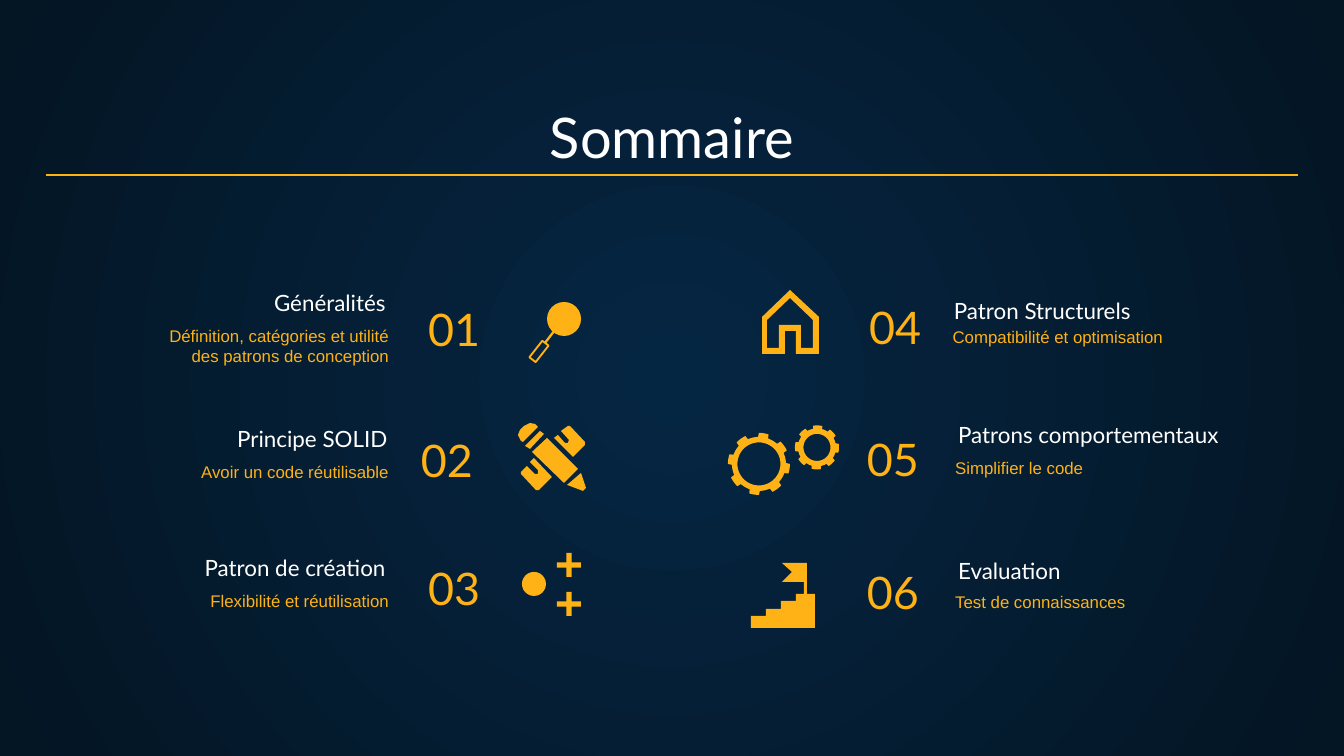
from math import cos, radians, sin

from lxml import etree
from pptx import Presentation
from pptx.dml.color import RGBColor
from pptx.enum.shapes import MSO_CONNECTOR, MSO_SHAPE
from pptx.enum.text import MSO_ANCHOR, MSO_AUTO_SIZE, PP_ALIGN
from pptx.oxml import parse_xml
from pptx.oxml.ns import nsdecls, qn
from pptx.util import Pt

PX = 914400 / 134.4
FINE = 100  # freeform steps per px
LEFT, MID, RIGHT = PP_ALIGN.LEFT, PP_ALIGN.CENTER, PP_ALIGN.RIGHT
TOP, BOTTOM = MSO_ANCHOR.TOP, MSO_ANCHOR.BOTTOM
FIXED = MSO_AUTO_SIZE.NONE
LINE = MSO_CONNECTOR.STRAIGHT
OVAL, BOX, PLUS = MSO_SHAPE.OVAL, MSO_SHAPE.RECTANGLE, MSO_SHAPE.CROSS

THEME = {
    "gold": RGBColor.from_string("FFB215"),
    "white": RGBColor.from_string("FFFFFF"),
    "glow": RGBColor.from_string("052643"),
    "night": RGBColor.from_string("041523"),
    "head": {"name": "Lato", "size": Pt(30)},
    "num": {"name": "Lato", "size": Pt(24)},
    "name": {"name": "Lato", "size": Pt(12)},
    "note": {"name": "Arial", "size": Pt(9)},
}


def write(shape, text, box, style, color, align, anchor):
    for key, val in zip(("left", "top", "width", "height"), box):
        setattr(shape, key, round(val * PX))
    frame = shape.text_frame
    frame.text = text
    form = {"word_wrap": True, "auto_size": FIXED, "vertical_anchor": anchor}
    for side in ("left", "top", "right", "bottom"):
        form["margin_" + side] = round(13.44 * PX)
    for key, val in form.items():
        setattr(frame, key, val)
    for para in frame.paragraphs:
        para.alignment = align
        for key, val in THEME[style].items():
            setattr(para.font, key, val)
        para.font.color.rgb = THEME[color]


def draw(*rings):
    pen = None
    for ring in rings:
        pts = [(round(x * FINE), round(y * FINE)) for x, y in ring]
        if pen is None:
            pen = shapes.build_freeform(*pts[0], scale=PX / FINE)
        else:
            pen.move_to(*pts[0])
        pen.add_line_segments(pts[1:], close=True)
    shape = pen.convert_to_shape()
    shape.shadow.inherit = False
    shape.fill.solid()
    shape.fill.fore_color.rgb = THEME["gold"]
    shape.line.fill.background()


deck = Presentation()
deck.slide_width, deck.slide_height = round(1344 * PX), round(756 * PX)
slide = deck.slides.add_slide(deck.slide_layouts[5])
shapes = slide.shapes

# Radial background
fill = slide.background.fill
fill.gradient()
for stop, color in zip(fill.gradient_stops, ("glow", "night")):
    stop.color.rgb = THEME[color]
for pos, stop in enumerate(fill.gradient_stops):
    stop.position = pos
grad = slide.element.find(".//" + qn("a:gradFill"))
for old in grad.findall(qn("a:lin")):
    grad.remove(old)
grad.append(parse_xml(
    f'<a:path {nsdecls("a")} path="circle">'
    '<a:fillToRect l="50000" t="50000" r="50000" b="50000"/></a:path>'))

# Title
write(shapes.title, "Sommaire", (46, 94, 1252, 89), "head", "white", MID, BOTTOM)

# Agenda: number, name and note, each with its corner and alignment
items = [
    ("01", 415, 280, LEFT, "Généralités", 94, 301, RIGHT,
     "Définition, catégories et utilité\ndes patrons de conception", 106, 312),
    ("02", 313, 411, RIGHT, "Principe SOLID", 224, 437, LEFT,
     "Avoir un code réutilisable", 188, 448),
    ("03", 415, 539, LEFT, "Patron de création", 94, 566, RIGHT,
     "Flexibilité et réutilisation", 106, 577),
    ("04", 856, 278, LEFT, "Patron Structurels", 839, 309, RIGHT,
     "Compatibilité et optimisation", 880, 313),
    ("05", 759, 410, RIGHT, "Patrons comportementaux", 945, 433, LEFT,
     "Simplifier le code", 942, 444),
    ("06", 759, 543, RIGHT, "Evaluation", 945, 569, LEFT,
     "Test de connaissances", 942, 578),
]
for num, nx, ny, side, name, tx, ty, flow, note, sx, sy in items:
    wide = 296 if flow == RIGHT else 278
    for text, box, style, color, align, anchor in (
        (num, (nx, ny, 173, 89), "num", "gold", side, BOTTOM),
        (name, (tx, ty, 305, 28), "name", "white", flow, BOTTOM),
        (note, (sx, sy, wide, 74), "note", "gold", flow, TOP),
    ):
        write(shapes.add_textbox(0, 0, 0, 0), text, box, style, color, align, anchor)

# Title rule and magnifier neck
for x1, y1, x2, y2, width in ((46, 175, 1298, 175, 1.5), (545, 343, 555, 330, 1.25)):
    line = shapes.add_connector(LINE, *(round(v * PX) for v in (x1, y1, x2, y2)))
    line.line.color.rgb = THEME["gold"]
    line.line.width = Pt(width)
    etree.SubElement(line.element.spPr, qn("a:effectLst"))

# Magnifier, dot and plus signs
for kind, x, y, w, h, turn in (
    (OVAL, 547, 302, 34, 34, 0),
    (BOX, 535, 341, 8, 21, 38),
    (OVAL, 522, 572, 24, 24, 0),
    (PLUS, 557, 553, 24, 24, 0),
    (PLUS, 557, 592, 24, 24, 0),
):
    part = shapes.add_shape(kind, *(round(v * PX) for v in (x, y, w, h)))
    part.shadow.inherit = False
    part.rotation = turn
    if kind == BOX:
        part.fill.background()
        part.line.color.rgb = THEME["gold"]
        part.line.width = Pt(1)
    else:
        part.fill.solid()
        part.fill.fore_color.rgb = THEME["gold"]
        part.line.fill.background()
    if kind == PLUS:
        part.adjustments[0] = 0.39

# Pencil and ruler
for ring in (
    [(540, 431), (525, 446), (530, 449), (544, 434)],
    [(568, 426), (561, 431), (569, 440), (568, 443), (565, 443), (558, 435),
     (554, 438), (573, 457), (585, 445), (585, 442), (570, 426)],
    [(547, 438), (532, 452), (564, 483), (578, 469)],
    [(581, 473), (567, 485), (583, 491), (586, 488)],
    [(534, 458), (530, 462), (538, 470), (538, 474), (535, 474), (527, 466),
     (521, 472), (521, 474), (536, 490), (539, 490), (552, 477)],
    [(530, 423), (524, 426), (520, 430), (518, 435), (521, 441), (523, 442),
     (538, 427), (535, 424)],
):
    draw(ring)

# House
draw(
    [(790, 290), (762, 317), (762, 354), (785, 354), (785, 331), (796, 331),
     (796, 354), (819, 354), (819, 317)],
    [(790, 298), (813, 320), (813, 348), (801, 348), (801, 325), (779, 325),
     (779, 348), (767, 348), (767, 320)],
)

# Gears with eight teeth
for cx, cy, hole, root, tip, phase, half in (
    (759, 464, 21.5, 27, 31, 9, 10),
    (817, 447.5, 13.5, 19, 22, 2, 12),
):
    rim, bore = [], []
    for deg in range(0, 360, 2):
        dx, dy = cos(radians(deg)), sin(radians(deg))
        tooth = abs((deg - phase + 22.5) % 45 - 22.5) <= half
        far = tip if tooth else root
        rim.append((cx + far * dx, cy + far * dy))
        bore.append((cx + hole * dx, cy - hole * dy))
    draw(rim, bore)

# Stairs with flag
draw([(782, 563), (792, 572), (782, 582), (804, 582), (804, 594), (796, 594),
      (796, 601), (781, 601), (781, 609), (766, 609), (766, 616), (751, 616),
      (751, 628), (815, 628), (815, 594), (807, 594), (807, 563)])

deck.save("out.pptx")
